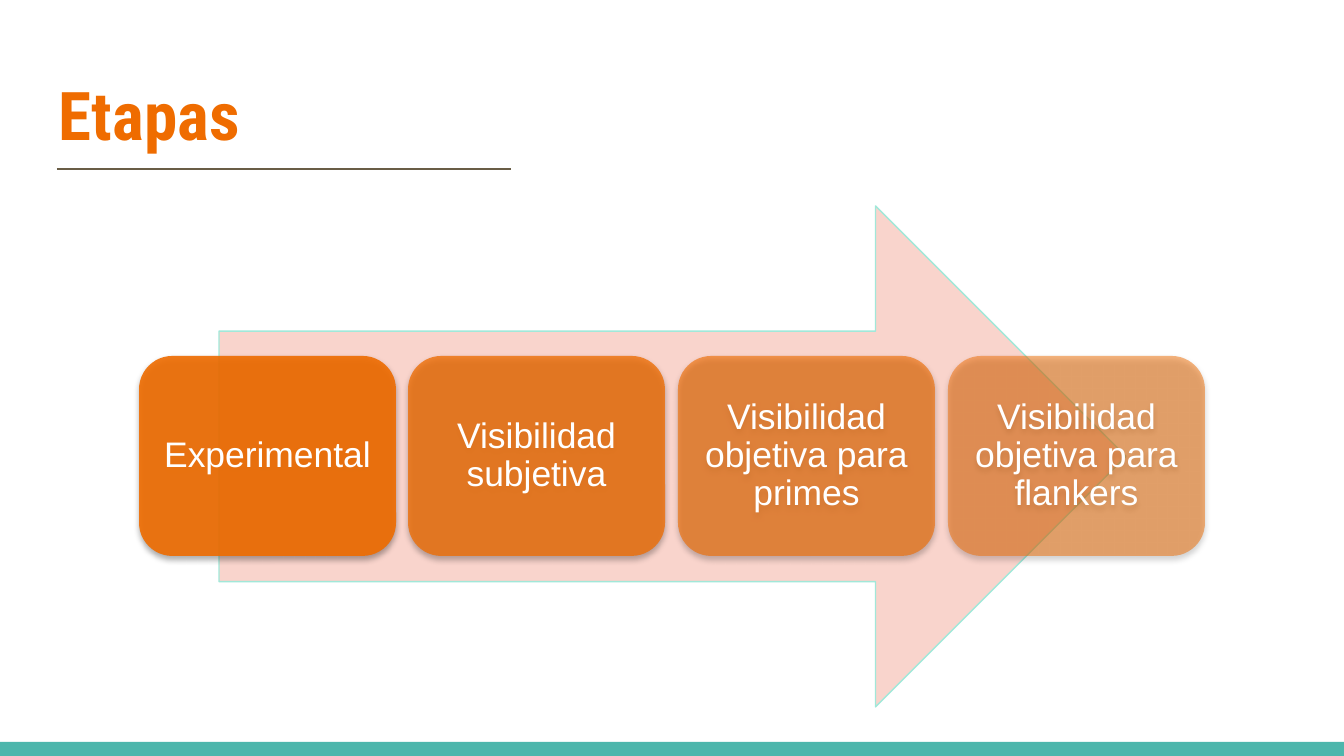
import lxml.etree
import pptx
import pptx.dml.color
import pptx.enum.shapes
import pptx.enum.text
import pptx.oxml.ns
import pptx.util

EMU_PER_PX = 914400 / 134.4
WIDTH, HEIGHT = 1344, 756
ORANGE, WHITE = "EF6C00", "FFFFFF"


def px(length):
    return pptx.util.Emu(round(length * EMU_PER_PX))


def color(hex_string):
    return pptx.dml.color.RGBColor.from_string(hex_string)


def add_xml(parent, tag, **attributes):
    element = lxml.etree.SubElement(parent, pptx.oxml.ns.qn(tag))
    for name, value in attributes.items():
        element.set(name, str(value))
    return element


class SlideBuilder:
    text_color = WHITE
    line_width = pptx.util.Pt(0.75)

    def __init__(self, slide):
        self.slide = slide

    def set_text(self, shape, text, font, size, text_color, margin, alignment, anchor, bold=False):
        frame = shape.text_frame
        frame.text = text
        frame.word_wrap = True
        frame.auto_size = pptx.enum.text.MSO_AUTO_SIZE.NONE
        frame.vertical_anchor = anchor
        frame.margin_left = frame.margin_right = px(margin)
        frame.margin_top = frame.margin_bottom = px(margin)
        paragraph = frame.paragraphs[0]
        paragraph.alignment = alignment
        run = paragraph.runs[0]
        run.font.name = font
        run.font.size = pptx.util.Pt(size)
        run.font.bold = bold
        run.font.color.rgb = color(text_color)
        return paragraph

    def title(self, text, left, top, width, height):
        shape = self.slide.shapes.title
        shape.left, shape.top = px(left), px(top)
        shape.width, shape.height = px(width), px(height)
        self.set_text(shape, text, "Roboto Condensed", 36, ORANGE, 13,
                      pptx.enum.text.PP_ALIGN.LEFT, pptx.enum.text.MSO_ANCHOR.TOP, bold=True)

    def shape(self, kind, left, top, width, height, fill, line=None):
        shape = self.slide.shapes.add_shape(kind, px(left), px(top), px(width), px(height))
        shape.shadow.inherit = False
        shape.fill.solid()
        shape.fill.fore_color.rgb = color(fill)
        if line:
            shape.line.color.rgb = color(line)
            shape.line.width = self.line_width
        else:
            shape.line.fill.background()
        return shape

    def rule(self, left, right, top, line):
        connector = self.slide.shapes.add_connector(
            pptx.enum.shapes.MSO_CONNECTOR.STRAIGHT, px(left), px(top), px(right), px(top))
        connector.line.color.rgb = color(line)
        connector.line.width = self.line_width
        add_xml(connector._element.spPr, "a:effectLst")

    def stage(self, text, left, top, width, height, opacity):
        shape = self.shape(pptx.enum.shapes.MSO_SHAPE.ROUNDED_RECTANGLE,
                           left, top, width, height, ORANGE)
        properties = shape._element.spPr
        fill_color = properties.find(pptx.oxml.ns.qn("a:solidFill"))[0]
        add_xml(fill_color, "a:alpha", val=opacity * 1000)
        effects = properties.find(pptx.oxml.ns.qn("a:effectLst"))
        shadow = add_xml(effects, "a:outerShdw", blurRad=pptx.util.Pt(3.1),
                         dist=pptx.util.Pt(1.8), dir=90 * 60000, rotWithShape=0)
        shadow_color = add_xml(shadow, "a:srgbClr", val="000000")
        add_xml(shadow_color, "a:alpha", val=35000)
        paragraph = self.set_text(shape, text, "Arial", 19, self.text_color, 10,
                                  pptx.enum.text.PP_ALIGN.CENTER,
                                  pptx.enum.text.MSO_ANCHOR.MIDDLE)
        paragraph.line_spacing = 0.9


def main():
    presentation = pptx.Presentation()
    presentation.slide_width, presentation.slide_height = px(WIDTH), px(HEIGHT)
    builder = SlideBuilder(presentation.slides.add_slide(presentation.slide_layouts[5]))

    builder.shape(pptx.enum.shapes.MSO_SHAPE.RECTANGLE, 0, 742, WIDTH, 14, "4DB6AC")
    builder.title("Etapas", 46, 60, 1252, 104)
    builder.rule(57, 511, 169, "695D46")
    builder.shape(pptx.enum.shapes.MSO_SHAPE.RIGHT_ARROW, 219, 206, 907, 501,
                  "F9D4CC", "A1E8D9")

    stages = [
        ("Experimental", 90),
        ("Visibilidad subjetiva", 77),
        ("Visibilidad objetiva para primes", 63),
        ("Visibilidad objetiva para flankers", 50),
    ]
    first_left, last_left = 139, 948
    for index, (text, opacity) in enumerate(stages):
        left = first_left + index * (last_left - first_left) // (len(stages) - 1)
        builder.stage(text, left, 356, 257, 200, opacity)

    presentation.save("out.pptx")


if __name__ == "__main__":
    main()
